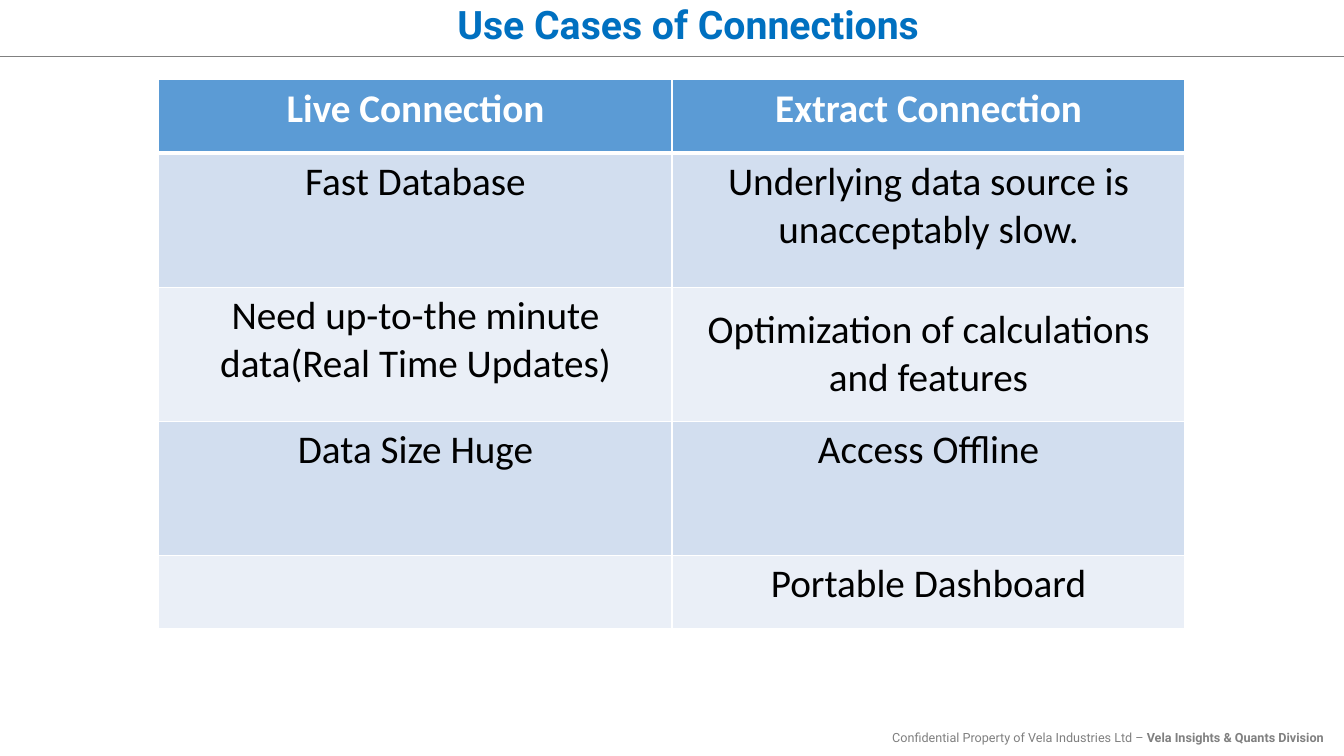
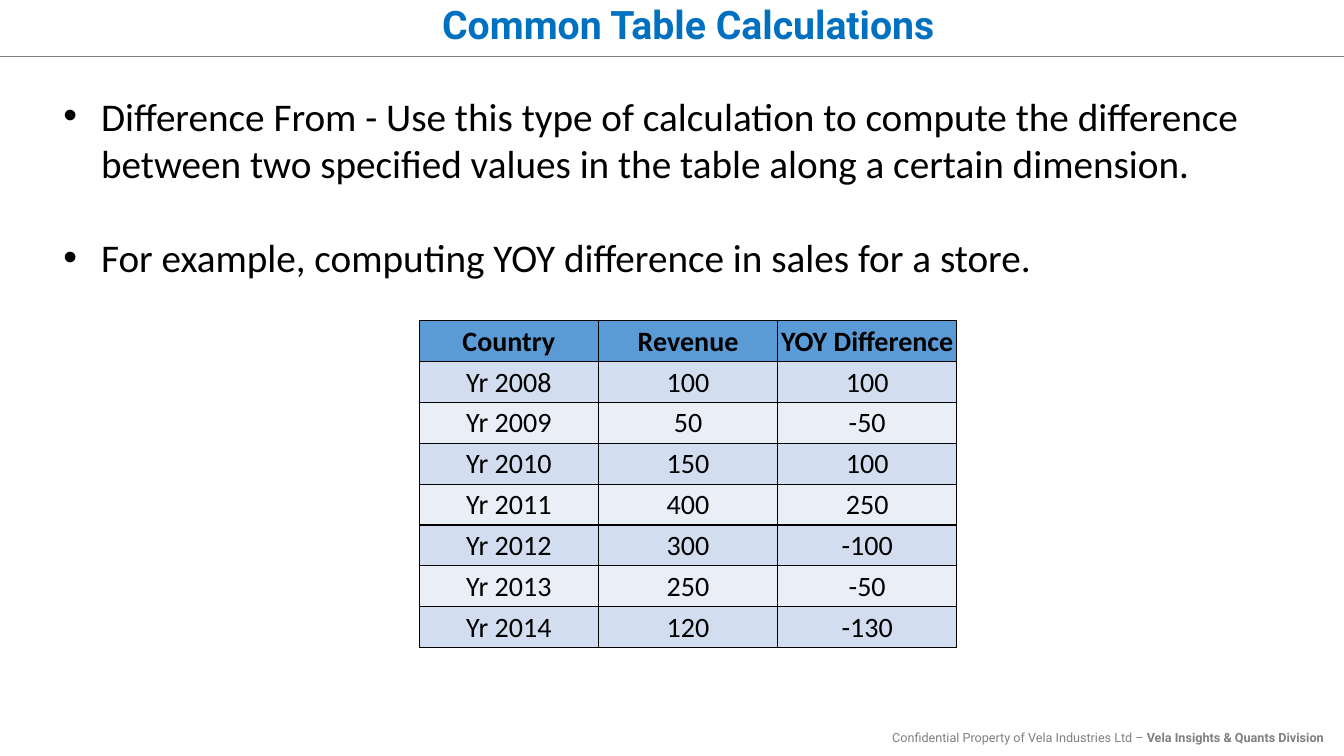
"""Build two slides on data connections and table calculations."""
from dataclasses import dataclass

from lxml import etree
from pptx import Presentation
from pptx.dml.color import RGBColor
from pptx.enum import shapes, text
from pptx.oxml import ns
from pptx.util import Pt


@dataclass(frozen=True)
class Theme:
    blue: str = "0070C0"
    header: str = "5B9BD5"
    bands: tuple = ("D2DEEF", "EAEFF7")
    grey: str = "808080"
    black: str = "000000"
    white: str = "FFFFFF"
    heading: str = "Roboto"
    body: str = "Calibri"
    large: int = 28
    medium: int = 20
    small: int = 9


def apply(obj, **values):
    for name, value in values.items():
        setattr(obj, name, value)


def place(sp, left, top, width, height):
    apply(sp, left=Pt(left), top=Pt(top), width=Pt(width), height=Pt(height))


class Deck:
    def __init__(self, theme):
        self.t = theme
        self.prs = Presentation()
        apply(self.prs, slide_width=Pt(960), slide_height=Pt(540))
        self.s = None

    def run(self, p, words, font, size, color, bold=False):
        r = p.add_run()
        r.text = words
        apply(r.font, name=font, size=Pt(size), bold=bold)
        r.font.color.rgb = RGBColor.from_string(color)

    def slide(self, title, layout):
        self.s = self.prs.slides.add_slide(self.prs.slide_layouts.get_by_name(layout))
        self.rule()
        self.footer()
        self.title(title)

    def rule(self):
        line = self.s.shapes.add_connector(
            shapes.MSO_CONNECTOR.STRAIGHT, 0, Pt(40.5), self.prs.slide_width, Pt(40.5))
        line.line.width = Pt(0.5)
        line.line.color.rgb = RGBColor.from_string(self.t.grey)
        etree.SubElement(line._element.spPr, ns.qn("a:effectLst"))

    def footer(self):
        sp = self.s.shapes.add_textbox(Pt(472), Pt(517.5), Pt(480.5), Pt(18))
        tf = sp.text_frame
        tf.word_wrap = True
        p = tf.paragraphs[0]
        p.alignment = text.PP_ALIGN.RIGHT
        style = (self.t.heading, self.t.small, self.t.grey)
        self.run(p, "Confidential Property of Vela Industries Ltd – ", *style)
        self.run(p, "Vela Insights & Quants Division", *style, bold=True)

    def title(self, words):
        sp = self.s.shapes.title
        place(sp, 163.5, 0, 656, 38)
        sp.fill.solid()
        sp.fill.fore_color.rgb = RGBColor.from_string(self.t.white)
        tf = sp.text_frame
        apply(tf, word_wrap=True, auto_size=text.MSO_AUTO_SIZE.NONE,
              vertical_anchor=text.MSO_ANCHOR.MIDDLE)
        p = tf.paragraphs[0]
        apply(p, alignment=text.PP_ALIGN.CENTER, line_spacing=0.9, space_before=Pt(0))
        self.run(p, words, self.t.heading, self.t.large, self.t.blue, True)

    def bullets(self, items, box, gap):
        sp = self.s.placeholders[1]
        place(sp, *box)
        tf = sp.text_frame
        apply(tf, word_wrap=True, auto_size=text.MSO_AUTO_SIZE.NONE,
              vertical_anchor=text.MSO_ANCHOR.TOP)
        for i, item in enumerate(items):
            p = tf.add_paragraph() if i else tf.paragraphs[0]
            apply(p, alignment=text.PP_ALIGN.LEFT, space_before=Pt(gap if i else 0))
            pPr = p._p.get_or_add_pPr()
            pPr.set("marL", str(Pt(27)))
            pPr.set("indent", str(-Pt(27)))
            etree.SubElement(pPr, ns.qn("a:buFont"), typeface="Arial")
            etree.SubElement(pPr, ns.qn("a:buChar"), char="•")
            self.run(p, item, self.t.body, self.t.large, self.t.black)

    def borders(self, cell, color, top=1, bottom=1):
        tcPr = cell._tc.get_or_add_tcPr()
        for side, width in (("L", 1), ("R", 1), ("T", top), ("B", bottom)):
            ln = etree.SubElement(tcPr, ns.qn("a:ln" + side), w=str(Pt(width)))
            fill = etree.SubElement(ln, ns.qn("a:solidFill"))
            etree.SubElement(fill, ns.qn("a:srgbClr"), val=color)

    def table(self, rows, left, top, col_width, heights, size, head_color, line,
              head_rule=1, middle=None, inset=None):
        cols = len(rows[0])
        frame = self.s.shapes.add_table(
            len(rows), cols, Pt(left), Pt(top), Pt(col_width * cols), Pt(sum(heights)))
        tbl = frame.table
        tbl.horz_banding = False
        for col in tbl.columns:
            col.width = Pt(col_width)
        for i, (row, height) in enumerate(zip(rows, heights)):
            tbl.rows[i].height = Pt(height)
            color = self.t.black if i else head_color
            band = self.t.bands[(i - 1) % 2] if i else self.t.header
            for j, words in enumerate(row):
                cell = tbl.cell(i, j)
                self.borders(cell, line, head_rule if i == 1 else 1, 1 if i else head_rule)
                cell.fill.solid()
                cell.fill.fore_color.rgb = RGBColor.from_string(band)
                if middle is None or (i, j) in middle:
                    cell.vertical_anchor = text.MSO_ANCHOR.MIDDLE
                if inset is not None:
                    apply(cell, margin_left=Pt(inset), margin_right=Pt(inset),
                          margin_top=Pt(inset), margin_bottom=0)
                if words:
                    p = cell.text_frame.paragraphs[0]
                    p.alignment = text.PP_ALIGN.CENTER
                    self.run(p, words, self.t.body, size, color, i == 0)


def main():
    t = Theme()
    deck = Deck(t)

    deck.slide("Use Cases of Connections", "Title Only")
    uses = [
        ("Live Connection", "Extract Connection"),
        ("Fast Database", "Underlying data source is unacceptably slow."),
        ("Need up-to-the minute data(Real Time Updates)",
         "Optimization of calculations and features"),
        ("Data Size Huge", "Access Offline"),
        ("", "Portable Dashboard"),
    ]
    deck.table(uses, 113.5, 57, 366.5, [52.5, 95.75, 95.75, 95.75, 52.5], t.large,
               t.white, t.white, head_rule=3, middle={(2, 1)})

    deck.slide("Common Table Calculations", "Title and Content")
    deck.bullets([
        "Difference From - Use this type of calculation to compute the difference "
        "between two specified values in the table along a certain dimension.",
        "For example, computing YOY difference in sales for a store.",
    ], (38, 62, 907, 143.5), gap=34)
    sales = [
        ("Country", "Revenue", "YOY Difference"),
        ("Yr 2008", "100", "100"),
        ("Yr 2009", "50", "-50"),
        ("Yr 2010", "150", "100"),
        ("Yr 2011", "400", "250"),
        ("Yr 2012", "300", "-100"),
        ("Yr 2013", "250", "-50"),
        ("Yr 2014", "120", "-130"),
    ]
    deck.table(sales, 299.5, 229, 128, [29.2] * len(sales), t.medium,
               t.black, t.black, inset=0.75)

    deck.prs.save("out.pptx")


if __name__ == "__main__":
    main()
